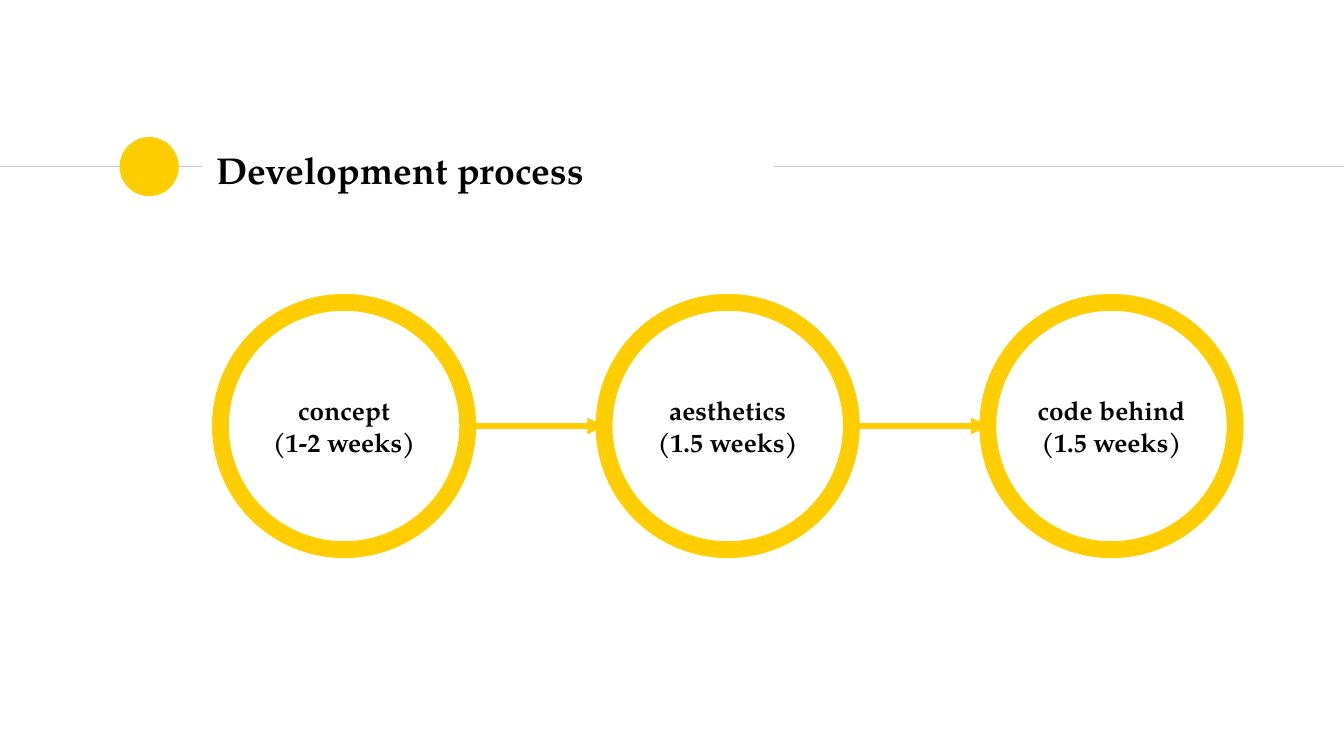
from dataclasses import dataclass

from lxml.etree import SubElement
from pptx import Presentation
from pptx.dml.color import RGBColor as RGB
from pptx.enum.shapes import MSO_CONNECTOR as CONN, MSO_SHAPE as SHAPE
from pptx.enum.text import MSO_ANCHOR as ANCHOR, PP_ALIGN as ALIGN
from pptx.oxml.ns import qn
from pptx.util import Inches, Pt


@dataclass(frozen=True)
class Theme:
    font: str = "TeX Gyre Pagella"
    ink: RGB = RGB(0x00, 0x00, 0x00)
    gold: RGB = RGB(0xFF, 0xCD, 0x00)
    grey: RGB = RGB(0xCC, 0xCC, 0xCC)
    title: int = 20
    label: int = 14


THEME = Theme()
STEPS = [
    ("concept", "(1-2 weeks)"),
    ("aesthetics", "(1.5 weeks)"),
    ("code behind", "(1.5 weeks)"),
]


def write(shape, *lines, size, align=ALIGN.LEFT):
    """Fill a shape with bold text, one paragraph a line."""
    frame = shape.text_frame
    frame.word_wrap = True
    frame.vertical_anchor = ANCHOR.MIDDLE
    frame.margin_left = frame.margin_right = Inches(0.1)
    frame.margin_top = frame.margin_bottom = Inches(0.1)
    frame.text = "\n".join(lines)
    for para in frame.paragraphs:
        para.alignment = align
        font = para.font
        font.name, font.size, font.bold = THEME.font, Pt(size), True
        font.color.rgb = THEME.ink


def circle(slide, left, top, size, fill=None, ring=0):
    shape = slide.shapes.add_shape(
        SHAPE.OVAL, Inches(left), Inches(top), Inches(size), Inches(size))
    shape.shadow.inherit = False
    if fill is None:
        shape.fill.background()
    else:
        shape.fill.solid()
        shape.fill.fore_color.rgb = fill
    if ring:
        shape.line.color.rgb = THEME.gold
        shape.line.width = Pt(ring)
    else:
        shape.line.fill.background()
    return shape


def rule(slide, start, end, y, color, width, arrow=False):
    """Draw a level line, with an arrowhead at its end if asked."""
    line = slide.shapes.add_connector(
        CONN.STRAIGHT, Inches(start), Inches(y), Inches(end), Inches(y))
    line.line.color.rgb = color
    line.line.width = Pt(width)
    props = line._element.spPr
    if arrow:
        SubElement(props.find(qn("a:ln")), qn("a:tailEnd"), type="triangle")
    SubElement(props, qn("a:effectLst"))


def header(slide):
    for start, end in ((0, 1.5), (5.76, 10)):
        rule(slide, start, end, 1.24, THEME.grey, 0.75)
    circle(slide, 0.89, 1.02, 0.44, fill=THEME.gold)
    box = slide.shapes.add_textbox(
        Inches(1.51), Inches(1.02), Inches(4.61), Inches(0.48))
    write(box, "Development process", size=THEME.title)


def flow(slide):
    first, last, top, size = 1.64, 7.35, 2.25, 1.84
    pitch = (last - first) / (len(STEPS) - 1)
    lefts = [first + i * pitch for i in range(len(STEPS))]

    # Rings with their labels
    for left, step in zip(lefts, STEPS):
        ring = circle(slide, left, top, size, ring=9)
        write(ring, *step, size=THEME.label, align=ALIGN.CENTER)

    # Arrows from each ring to the next
    for left, after in zip(lefts, lefts[1:]):
        rule(slide, left + size, after, top + size / 2, THEME.gold, 3, arrow=True)


def main():
    deck = Presentation()
    # Widescreen, 16 to 9
    deck.slide_width, deck.slide_height = Inches(10), Inches(10 * 9 / 16)
    slide = deck.slides.add_slide(deck.slide_layouts[6])
    header(slide)
    flow(slide)
    deck.save("out.pptx")


if __name__ == "__main__":
    main()
